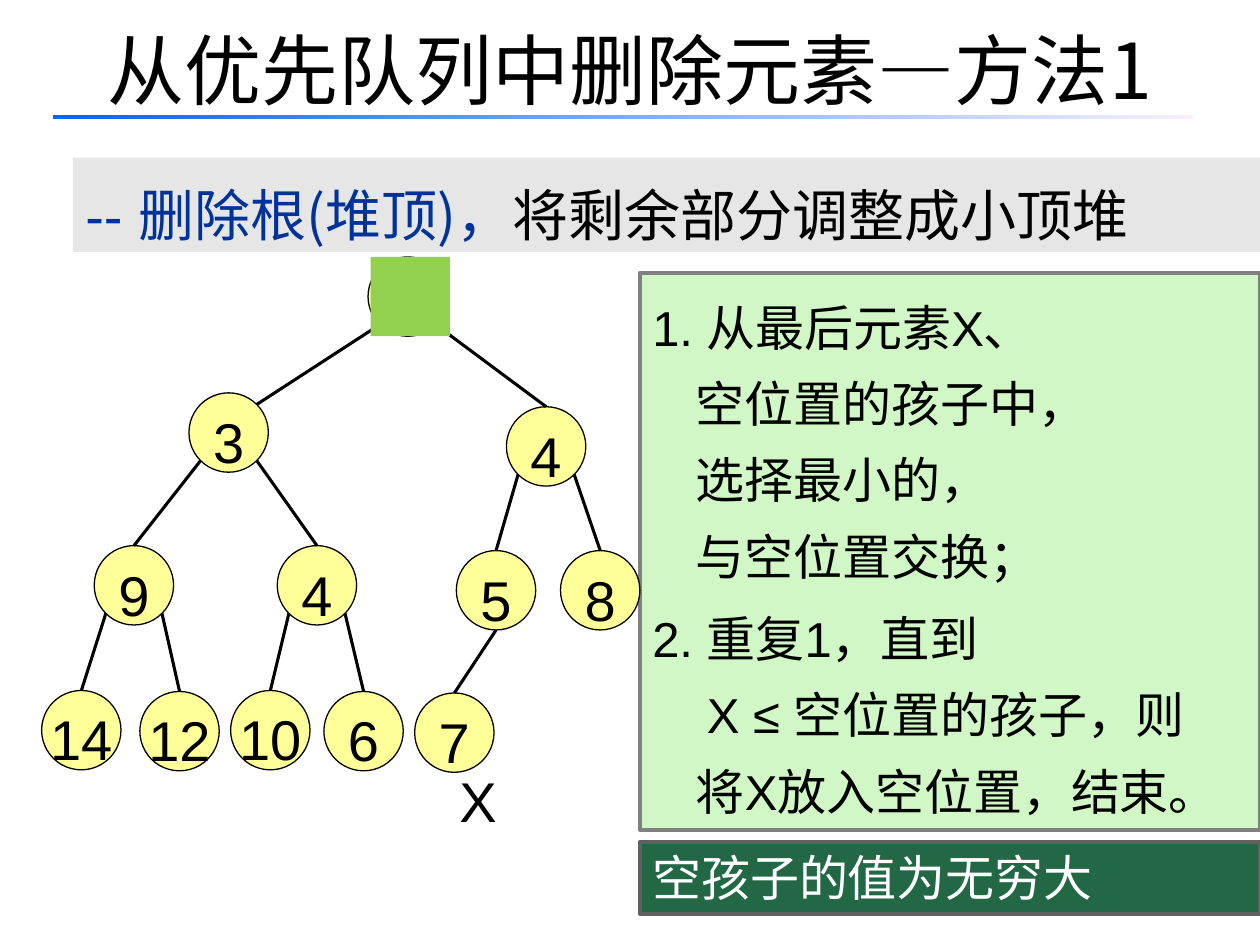
from dataclasses import dataclass
from math import cos, radians, sin

from lxml.etree import SubElement
from pptx import Presentation
from pptx.dml.color import RGBColor
from pptx.enum.shapes import MSO_CONNECTOR, MSO_SHAPE
from pptx.enum.text import MSO_ANCHOR, MSO_AUTO_SIZE, PP_ALIGN
from pptx.oxml.ns import qn
from pptx.util import Cm, Pt

BLACK = RGBColor(0x00, 0x00, 0x00)
WHITE = RGBColor(0xFF, 0xFF, 0xFF)
NAVY = RGBColor(0x00, 0x33, 0x99)
RULE_START = RGBColor(0x00, 0x66, 0xFF)
RULE_END = RGBColor(0xF7, 0xEF, 0xFF)
LIGHT_GREY = RGBColor(0xE6, 0xE6, 0xE6)
MID_GREY = RGBColor(0x80, 0x80, 0x80)
DARK_GREY = RGBColor(0x60, 0x60, 0x60)
NODE_YELLOW = RGBColor(0xFF, 0xFF, 0x99)
EMPTY_GREEN = RGBColor(0x92, 0xD0, 0x50)
PALE_GREEN = RGBColor(0xD0, 0xF7, 0xC5)
DARK_GREEN = RGBColor(0x22, 0x68, 0x45)

LATIN, CHINESE = "Arial", "Noto Sans CJK SC"
DIAMETER = 1.6
# Points on a circle, in degrees clockwise from the right
TOP, TOP_RIGHT, LOWER_RIGHT, BOTTOM, LOWER_LEFT = -90, -45, 45, 90, 135


@dataclass
class Node:
    label: str
    left: float
    top: float

    def point(self, angle: float) -> tuple:
        radius = DIAMETER / 2
        return (Cm(self.left + radius + radius * cos(radians(angle))),
                Cm(self.top + radius + radius * sin(radians(angle))))


@dataclass
class Edge:
    parent: str
    child: str
    start: int
    end: int = TOP


@dataclass
class Step:
    text: str
    indent: float = 0.0
    before: float = 0.0


NODES = {
    "root": Node("", 7.42, 5.18),
    "left": Node("3", 3.81, 7.92),
    "right": Node("4", 10.21, 8.2),
    "left-left": Node("9", 1.9, 11),
    "left-right": Node("4", 5.59, 11),
    "right-left": Node("5", 9.2, 11.1),
    "right-right": Node("8", 11.3, 11.1),
    "leaf 1": Node("14", 0.84, 13.92),
    "leaf 2": Node("12", 2.82, 13.94),
    "leaf 3": Node("10", 4.65, 13.92),
    "leaf 4": Node("6", 6.53, 13.94),
    "last": Node("7", 8.36, 13.97),
}
EDGES = [
    Edge("root", "left", LOWER_LEFT, TOP_RIGHT),
    Edge("root", "right", LOWER_RIGHT),
    Edge("left", "left-left", LOWER_LEFT),
    Edge("left", "left-right", LOWER_RIGHT),
    Edge("right", "right-left", LOWER_LEFT),
    Edge("right", "right-right", LOWER_RIGHT),
    Edge("left-left", "leaf 1", LOWER_LEFT),
    Edge("left-left", "leaf 2", LOWER_RIGHT),
    Edge("left-right", "leaf 3", LOWER_LEFT),
    Edge("left-right", "leaf 4", LOWER_RIGHT),
    Edge("right-left", "last", BOTTOM),
]
STEPS = [
    Step("1. 从最后元素X、"),
    Step("空位置的孩子中，", 0.88),
    Step("选择最小的，", 0.88),
    Step("与空位置交换；", 0.88),
    Step("2. 重复1，直到", before=3),
    Step("X ≤ 空位置的孩子，则", 1.1),
    Step("将X放入空位置，结束。", 0.88),
]


def apply_format(target, **values) -> None:
    for name, value in values.items():
        setattr(target, name, value)


def add_run(paragraph, text: str, size: float, color: RGBColor, latin: str = LATIN) -> None:
    run = paragraph.add_run()
    run.text = text
    apply_format(run.font, size=Pt(size), name=latin, bold=False)
    run.font.color.rgb = color
    SubElement(run.font._element, qn("a:ea"), typeface=CHINESE)


def add_panel(slide, kind, box: tuple, fill: RGBColor = None,
              line: RGBColor = None, width: float = 0.75):
    shape = slide.shapes.add_shape(kind, *map(Cm, box))
    shape.shadow.inherit = False
    if fill is not None:
        shape.fill.solid()
        shape.fill.fore_color.rgb = fill
    if line is None:
        shape.line.fill.background()
    else:
        shape.line.color.rgb = line
        shape.line.width = Pt(width)
    apply_format(shape.text_frame, vertical_anchor=MSO_ANCHOR.TOP, word_wrap=True)
    shape.text_frame.paragraphs[0].alignment = PP_ALIGN.LEFT
    return shape


def add_node(slide, node: Node) -> None:
    shape = add_panel(slide, MSO_SHAPE.OVAL, (node.left, node.top, DIAMETER, DIAMETER),
                      NODE_YELLOW, BLACK)
    if not node.label:
        return
    apply_format(shape.text_frame, vertical_anchor=MSO_ANCHOR.MIDDLE, word_wrap=False)
    paragraph = shape.text_frame.paragraphs[0]
    apply_format(paragraph, alignment=PP_ALIGN.CENTER, line_spacing=1.25)
    # Space before as a share of the line height
    space_before = SubElement(paragraph._p.get_or_add_pPr(), qn("a:spcBef"))
    SubElement(space_before, qn("a:spcPct"), val="30000")
    add_run(paragraph, node.label, 32, BLACK)


def add_edge(slide, edge: Edge) -> None:
    connector = slide.shapes.add_connector(
        MSO_CONNECTOR.STRAIGHT,
        *NODES[edge.parent].point(edge.start), *NODES[edge.child].point(edge.end))
    connector.line.color.rgb = BLACK
    connector.line.width = Pt(1.75)
    SubElement(connector._element.spPr, qn("a:effectLst"))


def add_steps(slide) -> None:
    panel = add_panel(slide, MSO_SHAPE.RECTANGLE, (12.9, 5.51, 12.5, 11.23),
                      PALE_GREEN, MID_GREY, 2.25)
    frame = panel.text_frame
    for index, step in enumerate(STEPS):
        paragraph = frame.add_paragraph() if index else frame.paragraphs[0]
        apply_format(paragraph, alignment=PP_ALIGN.LEFT, line_spacing=1.3,
                     space_before=Pt(step.before))
        paragraph._p.get_or_add_pPr().set("marL", str(Cm(step.indent)))
        add_run(paragraph, step.text, 28, BLACK)


def main() -> None:
    presentation = Presentation()
    apply_format(presentation, slide_width=Cm(25.4), slide_height=Cm(19.05))
    slide = presentation.slides.add_slide(presentation.slide_layouts[5])

    # Title and the fading rule below it
    title = slide.shapes.title
    apply_format(title, left=Cm(1.27), top=Cm(-0.2), width=Cm(22.86), height=Cm(3.18))
    apply_format(title.text_frame, vertical_anchor=MSO_ANCHOR.MIDDLE, word_wrap=True,
                 auto_size=MSO_AUTO_SIZE.NONE)
    paragraph = title.text_frame.paragraphs[0]
    paragraph.alignment = PP_ALIGN.CENTER
    add_run(paragraph, "从优先队列中删除元素—方法1", 44, BLACK, CHINESE)

    rule = add_panel(slide, MSO_SHAPE.RECTANGLE, (1.07, 2.31, 22.99, 0.1))
    rule.fill.gradient()
    rule.fill.gradient_angle = 0
    for stop, position, color in zip(rule.fill.gradient_stops, (0, 1), (RULE_START, RULE_END)):
        stop.position = position
        stop.color.rgb = color

    # Steps panel lies beneath the tree
    add_steps(slide)

    # Heap tree
    for node in NODES.values():
        add_node(slide, node)
    for edge in EDGES:
        add_edge(slide, edge)
    add_panel(slide, MSO_SHAPE.RECTANGLE, (7.47, 5.18, DIAMETER, DIAMETER), EMPTY_GREEN)

    # Label of the last element
    label = slide.shapes.add_textbox(Cm(8.89), Cm(15.32), Cm(1.5), Cm(1.63))
    label.text_frame.word_wrap = True
    paragraph = label.text_frame.paragraphs[0]
    paragraph.alignment = PP_ALIGN.CENTER
    add_run(paragraph, "X", 32, BLACK)

    # Task band
    band = add_panel(slide, MSO_SHAPE.RECTANGLE, (1.47, 3.18, 23.93, 1.9), LIGHT_GREY)
    paragraph = band.text_frame.paragraphs[0]
    paragraph.line_spacing = 1.25
    add_run(paragraph, "-- ", 32, NAVY)
    add_run(paragraph, "删除根(堆顶)，", 32, NAVY, CHINESE)
    add_run(paragraph, "将剩余部分调整成小顶堆", 32, BLACK, CHINESE)

    # Closing note
    note = add_panel(slide, MSO_SHAPE.RECTANGLE, (12.9, 16.97, 12.5, 1.45),
                     DARK_GREEN, DARK_GREY, 2.25)
    add_run(note.text_frame.paragraphs[0], "空孩子的值为无穷大", 28, WHITE)

    presentation.save("out.pptx")


if __name__ == "__main__":
    main()
